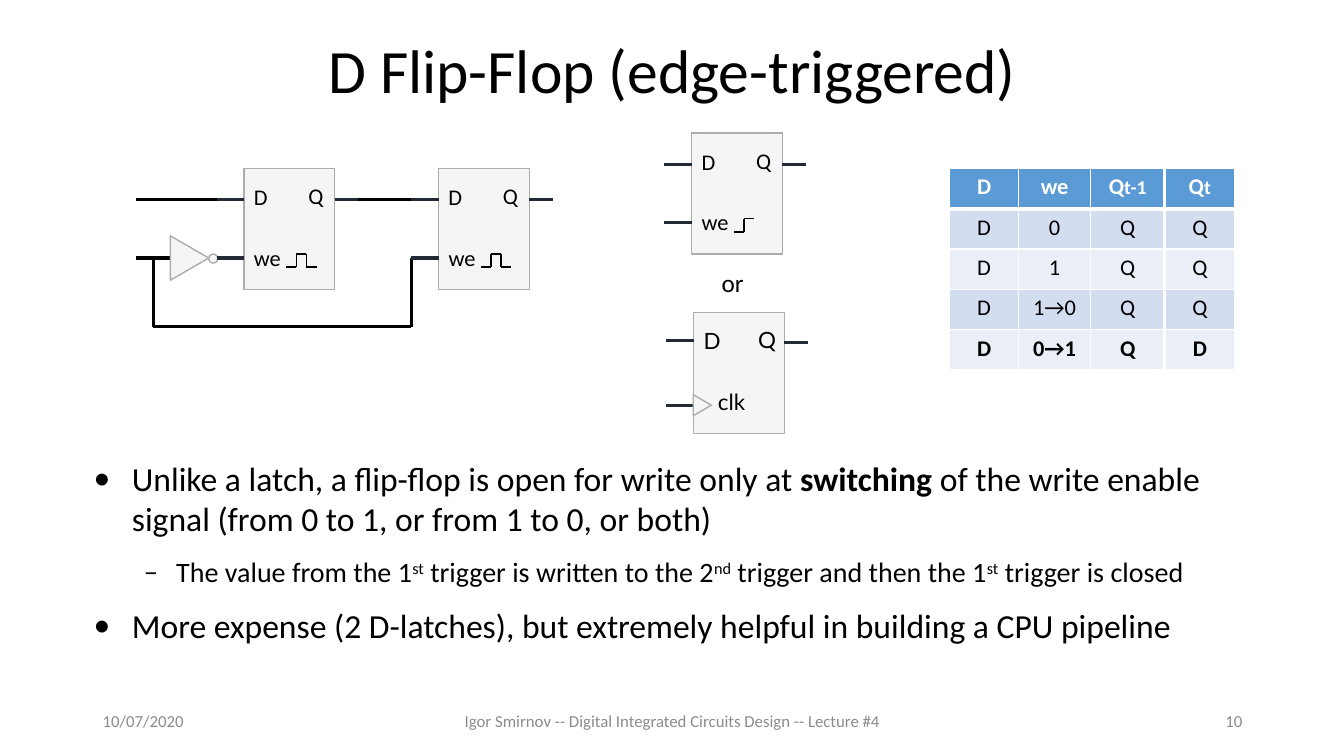
"""Build the slide on the edge-triggered D flip-flop."""
from pptx import Presentation
from pptx.dml.color import RGBColor
from pptx.enum.shapes import MSO_CONNECTOR, MSO_SHAPE
from pptx.enum.text import MSO_ANCHOR, PP_ALIGN
from pptx.oxml.ns import qn
from pptx.util import Inches, Pt
from lxml import etree

STRAIGHT = MSO_CONNECTOR.STRAIGHT
RECTANGLE, OVAL = MSO_SHAPE.RECTANGLE, MSO_SHAPE.OVAL
TRIANGLE = MSO_SHAPE.ISOSCELES_TRIANGLE
LEFT, CENTER, RIGHT = PP_ALIGN.LEFT, PP_ALIGN.CENTER, PP_ALIGN.RIGHT
TOP, MIDDLE = MSO_ANCHOR.TOP, MSO_ANCHOR.MIDDLE

BLACK = RGBColor(0x00, 0x00, 0x00)
WHITE = RGBColor(0xFF, 0xFF, 0xFF)
GREY = RGBColor(0x8C, 0x8C, 0x8C)
BODY_FILL = RGBColor(0xF5, 0xF5, 0xF5)
OUTLINE = RGBColor(0xAF, 0xAB, 0xAB)
PIN = RGBColor(0x22, 0x2A, 0x35)
HEADER = RGBColor(0x5B, 0x9B, 0xD5)
BAND_DARK = RGBColor(0xD2, 0xDE, 0xEF)
BAND_LIGHT = RGBColor(0xEA, 0xEF, 0xF7)

SYMBOL_WIDTH, SYMBOL_HEIGHT = 0.9, 1.2
PIN_ROWS = (0.31, 0.89)
PULSE = ((0, 0), (1, 0), (1, 1), (2, 1), (2, 0), (3, 0))
RISING_EDGE = PULSE[:4]
TRUTH_ROWS = (
    ("D", "we", "Q", "Q"),
    ("D", "0", "Q", "Q"),
    ("D", "1", "Q", "Q"),
    ("D", "1→0", "Q", "Q"),
    ("D", "0→1", "Q", "D"),
)
TIME_MARKS = {2: "t-1", 3: "t"}
BULLETS = (
    (0, (("Unlike a latch, a flip-flop is open for write only at ", {}),
         ("switching", {"bold": True}),
         (" of the write enable signal (from 0 to 1, or from 1 to 0, or both)", {}))),
    (1, (("The value from the 1", {}), ("st", {"raised": True}),
         (" trigger is written to the 2", {}), ("nd", {"raised": True}),
         (" trigger and then the 1", {}), ("st", {"raised": True}),
         (" trigger is closed", {}))),
    (0, (("More expense (2 D-latches), but extremely helpful in building a CPU pipeline", {}),)),
)
LEVELS = ((24, 0.38, 0.38, "•"), (20, 0.82, 0.32, "‒"))


def write(para, text, size=16, font="Calibri", color=BLACK, bold=False, raised=False):
    """Add a formatted span of text to a paragraph."""
    span = para.add_run()
    span.text = text
    span.font.size = Pt(size)
    span.font.name = font
    span.font.bold = bold
    span.font.color.rgb = color
    if raised:
        span.font._element.set("baseline", "30000")


def add_label(page, text, left, top, width, height=0.37, align=LEFT, anchor=TOP,
              wrap=False, **style):
    """Add a text box with one line of text."""
    box = page.shapes.add_textbox(Inches(left), Inches(top), Inches(width), Inches(height))
    box.text_frame.word_wrap = wrap
    box.text_frame.vertical_anchor = anchor
    para = box.text_frame.paragraphs[0]
    para.alignment = align
    write(para, text, **style)


def add_wire(page, *points, color=BLACK, weight=2.25):
    """Join successive points with straight lines."""
    for start, end in zip(points, points[1:]):
        wire = page.shapes.add_connector(STRAIGHT, *map(Inches, start + end))
        wire.line.color.rgb = color
        wire.line.width = Pt(weight)
        etree.SubElement(wire._element.spPr, qn("a:effectLst"))


def add_part(page, kind, left, top, width, height, rotation=0):
    """Add a pale outlined shape."""
    part = page.shapes.add_shape(kind, Inches(left), Inches(top), Inches(width), Inches(height))
    part.shadow.inherit = False
    part.rotation = rotation
    part.fill.solid()
    part.fill.fore_color.rgb = BODY_FILL
    part.line.color.rgb = OUTLINE
    part.line.width = Pt(1)


def add_symbol(page, left, top, input_rows=PIN_ROWS, output_row=PIN_ROWS[0], font="Calibri"):
    """Add a D/Q block with two input pins and one output pin."""
    add_part(page, RECTANGLE, left, top, SYMBOL_WIDTH, SYMBOL_HEIGHT)
    for row in input_rows:
        add_wire(page, (left - 0.27, top + row), (left, top + row), color=PIN)
    edge = left + SYMBOL_WIDTH
    add_wire(page, (edge, top + output_row), (edge + 0.23, top + output_row), color=PIN)
    add_label(page, "D", left, top + 0.1, 0.34, font=font)
    add_label(page, "Q", left + 0.54, top + 0.09, 0.35, font=font)


def add_enable_symbol(page, left, top, wave):
    """Add a block whose write enable input shows its waveform."""
    add_symbol(page, left, top)
    add_label(page, "we", left, top + 0.7, 0.49)
    points = [(left + 0.42 + 0.1 * step, top + 0.98 - 0.13 * level) for step, level in wave]
    add_wire(page, *points, weight=1)


def add_clock_symbol(page, left, top):
    """Add a block with a clock input."""
    add_symbol(page, left, top, input_rows=(0.28, 0.92), output_row=0.3, font="Lato")
    add_part(page, TRIANGLE, left - 0.02, top + 0.83, 0.21, 0.18, rotation=90)
    add_label(page, "clk", left, top + 0.7, 0.61, align=RIGHT, wrap=True, font="Lato")


def add_master_slave_circuit(page):
    """Add the two latches, the inverter and their wiring."""
    add_wire(page, (1.35, 1.98), (2.42, 1.98))
    add_wire(page, (1.35, 2.56), (1.69, 2.56))
    add_part(page, TRIANGLE, 1.66, 2.37, 0.44, 0.38, rotation=90)
    add_part(page, OVAL, 2.07, 2.52, 0.09, 0.09)
    add_wire(page, (1.52, 2.56), (1.52, 3.24), (4.08, 3.24), (4.08, 2.56))
    add_wire(page, (3.31, 1.98), (4.35, 1.98))
    for left in (2.42, 4.35):
        add_enable_symbol(page, left, 1.67, PULSE)


def add_border(cell, side, weight):
    """Draw a white border on one side of a cell."""
    border = etree.SubElement(cell._tc.get_or_add_tcPr(), qn("a:ln" + side), w=str(Pt(weight)))
    fill = etree.SubElement(border, qn("a:solidFill"))
    etree.SubElement(fill, qn("a:srgbClr"), val=str(WHITE))


def add_truth_table(page):
    """Add the truth table."""
    widths = (0.68, 0.72, 0.73, 0.7)
    count = len(TRUTH_ROWS)
    table = page.shapes.add_table(count, len(widths), Inches(9.42), Inches(1.67),
                                  Inches(sum(widths)), Inches(0.4 * count)).table
    for column, width in zip(table.columns, widths):
        column.width = Inches(width)
    for row, values in enumerate(TRUTH_ROWS):
        head = row == 0
        color = WHITE if head else BLACK
        bold = row in (0, count - 1)
        for column, value in enumerate(values):
            cell = table.cell(row, column)
            weights = {"L": 3 if column == 3 else 1, "R": 3 if column == 2 else 1,
                       "T": 3 if row == 1 else 1, "B": 3 if head else 1}
            for side, weight in weights.items():
                add_border(cell, side, weight)
            cell.fill.solid()
            cell.fill.fore_color.rgb = HEADER if head else BAND_DARK if row % 2 else BAND_LIGHT
            para = cell.text_frame.paragraphs[0]
            para.alignment = CENTER
            write(para, value, color=color, bold=bold)
            if head and column in TIME_MARKS:
                write(para, TIME_MARKS[column], size=14, color=color, bold=bold)


def add_bullets(page):
    """Add the two-level bulleted text."""
    box = page.shapes.add_textbox(Inches(0.83), Inches(4.49), Inches(11.5), Inches(2.03))
    frame = box.text_frame
    frame.word_wrap = True
    for index, (level, spans) in enumerate(BULLETS):
        para = frame.add_paragraph() if index else frame.paragraphs[0]
        size, margin, hanging, mark = LEVELS[level]
        para.level = level
        para.space_before = Pt(12)
        properties = para._p.get_or_add_pPr()
        properties.set("marL", str(Inches(margin)))
        properties.set("indent", str(-Inches(hanging)))
        etree.SubElement(properties, qn("a:buFont"), typeface="Calibri")
        etree.SubElement(properties, qn("a:buChar"), char=mark)
        for text, style in spans:
            write(para, text, size=size, **style)


def set_title(page, text):
    """Place and fill the title placeholder."""
    title = page.shapes.title
    title.left, title.top, title.width, title.height = map(Inches, (0.92, 0, 11.5, 1.45))
    title.text_frame.vertical_anchor = MIDDLE
    para = title.text_frame.paragraphs[0]
    para.alignment = CENTER
    para.line_spacing = 0.9
    write(para, text, size=44)


def main():
    """Build and save the deck."""
    deck = Presentation()
    deck.slide_width, deck.slide_height = Inches(13.33), Inches(7.5)
    page = deck.slides.add_slide(deck.slide_layouts[5])
    set_title(page, "D Flip-Flop (edge-triggered)")
    add_bullets(page)
    for text, left, width, align in (
            ("10/07/2020", 0.92, 3, LEFT),
            ("Igor Smirnov -- Digital Integrated Circuits Design -- Lecture #4", 4.42, 4.5, CENTER),
            ("10", 9.42, 3, RIGHT)):
        add_label(page, text, left, 6.95, width, 0.4, align=align, anchor=MIDDLE,
                  wrap=True, size=12, color=GREY)
    add_master_slave_circuit(page)
    add_enable_symbol(page, 6.86, 1.32, RISING_EDGE)
    add_truth_table(page)
    add_clock_symbol(page, 6.88, 3.1)
    add_label(page, "or", 7.06, 2.6, 0.42, 0.4, size=18)
    deck.save("out.pptx")


main()
